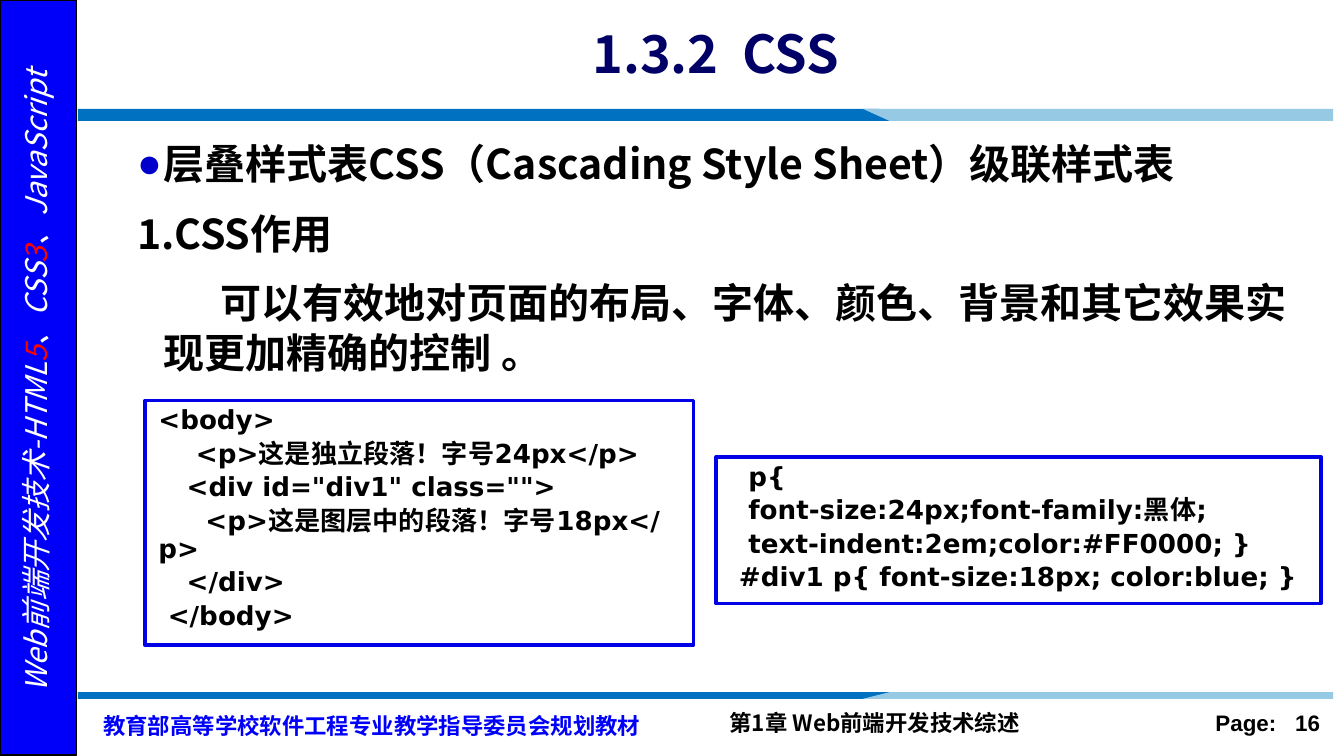
from lxml import etree
from pptx import Presentation
from pptx import util as u
from pptx.dml.color import RGBColor
from pptx.enum import shapes, text
from pptx.oxml.ns import qn

CJK, CODE, SANS = "Noto Sans CJK SC", "DejaVu Sans", "Arial"
BLUE, RED, BLACK, WHITE = "0000FA", "FF0000", "000000", "FFFFFF"
LEFT, CENTER, RIGHT = text.PP_ALIGN.LEFT, text.PP_ALIGN.CENTER, text.PP_ALIGN.RIGHT
CODE_STEP = 0.07  # indent of one code column, in inches


def rgb(value):
    return RGBColor.from_string(value)


def set_indent(p, first, margin=0):
    pPr = p._p.get_or_add_pPr()
    pPr.set("marL", str(u.Inches(margin)))
    pPr.set("indent", str(u.Inches(first)))


def set_bullet(p, char=None, color=BLACK):
    pPr = p._p.get_or_add_pPr()
    if char is None:
        etree.SubElement(pPr, qn("a:buNone"))
        return
    clr = etree.SubElement(pPr, qn("a:buClr"))
    etree.SubElement(clr, qn("a:srgbClr"), val=color)
    etree.SubElement(pPr, qn("a:buChar"), char=char)


def add_spread_words(p, first, second, extra):
    """Two words whose single space is widened by extra points."""
    for words in (first, " ", second):
        p.add_run().text = words
    p.runs[1]._r.get_or_add_rPr().set("spc", str(int(extra * 100)))


class Deck:
    def __init__(self, width, height):
        self.prs = Presentation()
        self.prs.slide_width = u.Inches(width)
        self.prs.slide_height = u.Inches(height)
        self.s = self.prs.slides.add_slide(self.prs.slide_layouts[1])

    def style(self, p, size, font=CJK, color=BLACK, bold=True, italic=False, align=LEFT):
        p.alignment = align
        for r in p.runs:
            f = r.font
            f.name, f.size, f.bold, f.italic = font, u.Pt(size), bold, italic
            f.color.rgb = rgb(color)
            # East Asian glyphs follow the same font
            etree.SubElement(r._r.get_or_add_rPr(), qn("a:ea"), typeface=font)

    def place(self, sp, box):
        sp.left, sp.top, sp.width, sp.height = map(u.Inches, box)

    def title(self, number, topic, box):
        sp = self.s.shapes.title
        self.place(sp, box)
        tf = sp.text_frame
        tf.vertical_anchor = text.MSO_ANCHOR.MIDDLE
        tf.auto_size = text.MSO_AUTO_SIZE.NONE
        p = tf.paragraphs[0]
        add_spread_words(p, number, topic, 6.3)
        self.style(p, 28, color="000066", align=CENTER)

    def body(self, items, box):
        """Each item is its words, first-line indent and bullet."""
        sp = self.s.placeholders[1]
        self.place(sp, box)
        tf = sp.text_frame
        tf.auto_size = text.MSO_AUTO_SIZE.NONE
        tf.text = "\n".join(words for words, _, _ in items)
        for p, (_, first, bullet) in zip(tf.paragraphs, items):
            p.line_spacing = u.Pt(26.6)
            p.space_before, p.space_after = u.Pt(6.2), u.Pt(4.4)
            set_indent(p, first, 0.2)
            set_bullet(p, bullet, "0000CC")
            self.style(p, 22)

    def textbox(self, box, wrap=True):
        sp = self.s.shapes.add_textbox(*map(u.Inches, box))
        sp.text_frame.word_wrap = wrap
        return sp

    def label(self, words, box, color=BLACK):
        p = self.textbox(box).text_frame.paragraphs[0]
        p.text = words
        self.style(p, 12, color=color)
        return p

    def page_number(self, number, box):
        p = self.textbox(box).text_frame.paragraphs[0]
        add_spread_words(p, "Page:", number, 6.7)
        self.style(p, 12, SANS, align=RIGHT)

    def rect(self, box, fill, line, weight):
        sp = self.s.shapes.add_shape(shapes.MSO_SHAPE.RECTANGLE, *map(u.Inches, box))
        self.paint(sp, fill)
        sp.line.color.rgb = rgb(line)
        sp.line.width = u.Pt(weight)
        return sp

    def paint(self, sp, fill):
        sp.shadow.inherit = False
        sp.fill.solid()
        sp.fill.fore_color.rgb = rgb(fill)

    def sidebar(self, parts, box):
        """Turned line of text made of (words, colour) parts."""
        sp = self.textbox(box, wrap=False)
        sp.rotation = 270
        p = sp.text_frame.paragraphs[0]
        for words, _ in parts:
            p.add_run().text = words
        self.style(p, 16, bold=False, italic=True, align=CENTER)
        p.line_spacing = 0.9
        for r, (_, color) in zip(p.runs, parts):
            r.font.color.rgb = rgb(color)

    def divider(self, near, far):
        """Two-tone bar whose colours meet on a slant from near to far."""
        start, end = 0.58, 9.92
        tones = (
            ("0070C0", [(start, near), (6.54, near), (6.72, far), (start, far)]),
            ("96CAE4", [(6.42, near), (end, near), (end, far), (6.62, far)]),
        )
        group = self.s.shapes.add_group_shape()
        for color, points in tones:
            first, *rest = [(u.Inches(x), u.Inches(y)) for x, y in points]
            builder = group.shapes.build_freeform(*first)
            builder.add_line_segments(rest, close=True)
            sp = builder.convert_to_shape()
            self.paint(sp, color)
            sp.line.fill.background()

    def code(self, lines, box):
        """Framed code; each line is its column and words."""
        tf = self.rect(box, WHITE, "0000E7", 2).text_frame
        tf.word_wrap = True
        tf.vertical_anchor = text.MSO_ANCHOR.TOP
        tf.text = "\n".join(words for _, words in lines)
        for p, (column, _) in zip(tf.paragraphs, lines):
            p.line_spacing, p.space_before = 0.9, u.Pt(2.8)
            set_indent(p, column * CODE_STEP)
            self.style(p, 14, CODE)


def main():
    d = Deck(10, 10 * 9 / 16)

    d.label("第1章 Web前端开发技术综述", (5.33, 5.23, 3.29, 0.3))
    d.page_number("16", (8.67, 5.23, 1.25, 0.3))
    d.rect((0, 0, 0.57, 5.62), BLUE, BLACK, 1)
    press = d.label("教育部高等学校软件工程专业教学指导委员会规划教材",
                    (0.67, 5.23, 4.33, 0.35), BLUE)
    press.line_spacing = u.Pt(16)
    d.sidebar([("Web前端开发技术-HTML", WHITE), ("5", RED), ("、CSS", WHITE),
               ("3", RED), ("、JavaScript", WHITE)], (-2.31, 2.67, 5.19, 0.34))
    d.divider(0.81, 0.9)
    d.divider(5.2, 5.15)

    d.title("1.3.2", "CSS", (1.08, 0.08, 8.49, 0.62))
    d.body([
        ("层叠样式表CSS（Cascading Style Sheet）级联样式表", -0.2, "●"),
        ("1.CSS作用", -0.2, None),
        ("可以有效地对页面的布局、字体、颜色、背景和其它效果实现更加精确的控制 。", 0.42, None),
    ], (0.92, 0.98, 8.93, 1.61))

    d.code([
        (2, "p{"),
        (2, "font-size:24px;font-family:黑体;"),
        (2, "text-indent:2em;color:#FF0000; }"),
        (1, "#div1 p{ font-size:18px; color:blue; }"),
    ], (5.33, 3.4, 4.5, 1.09))
    d.code([
        (0, "<body>"),
        (4, "<p>这是独立段落！字号24px</p>"),
        (3, '<div id="div1" class="">'),
        (5, "<p>这是图层中的段落！字号18px</p>"),
        (3, "</div>"),
        (1, "</body>"),
    ], (1.08, 2.98, 4.08, 1.82))

    d.prs.save("out.pptx")


if __name__ == "__main__":
    main()
